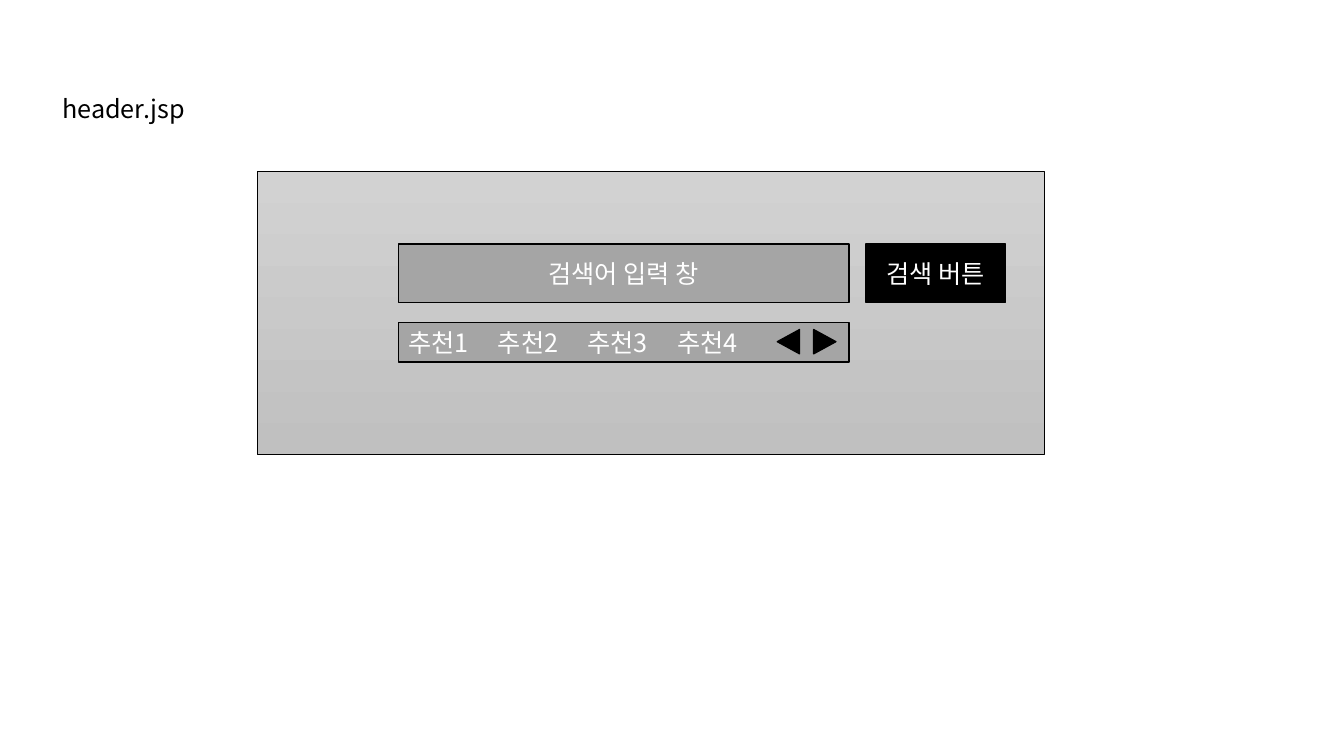
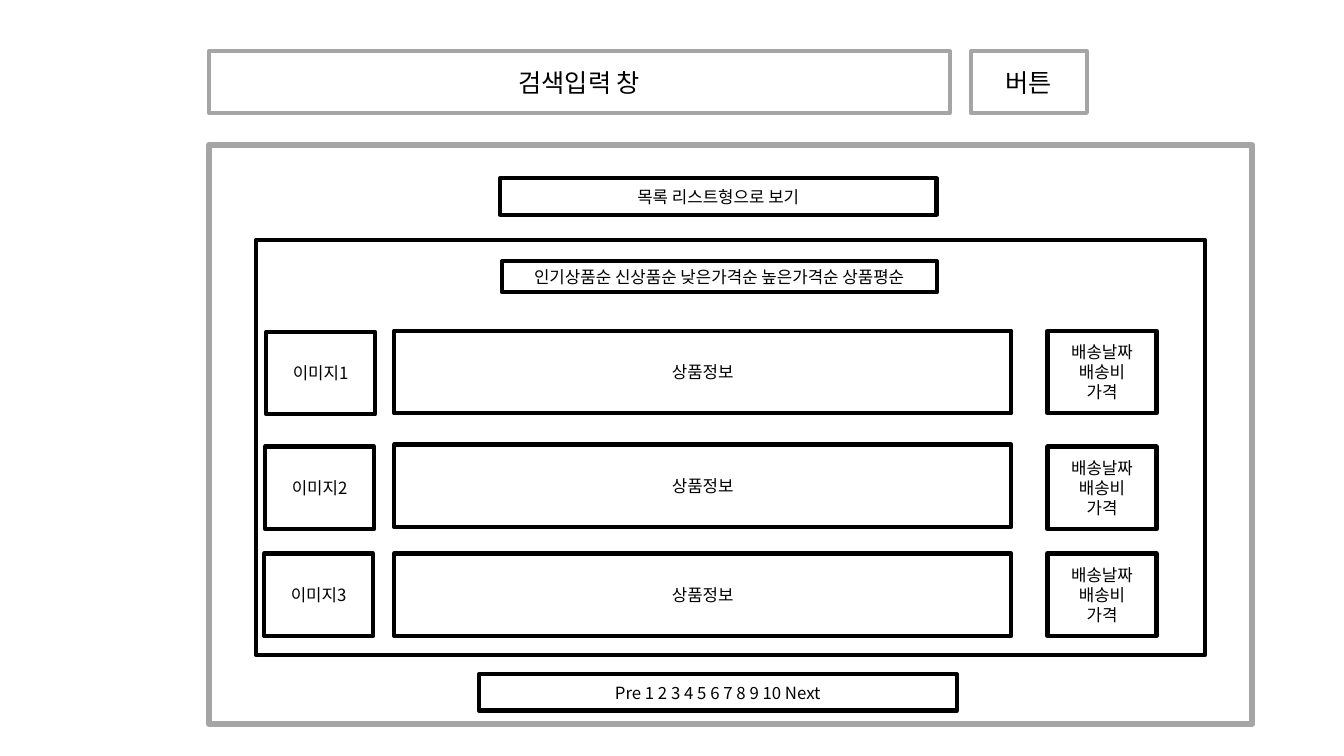
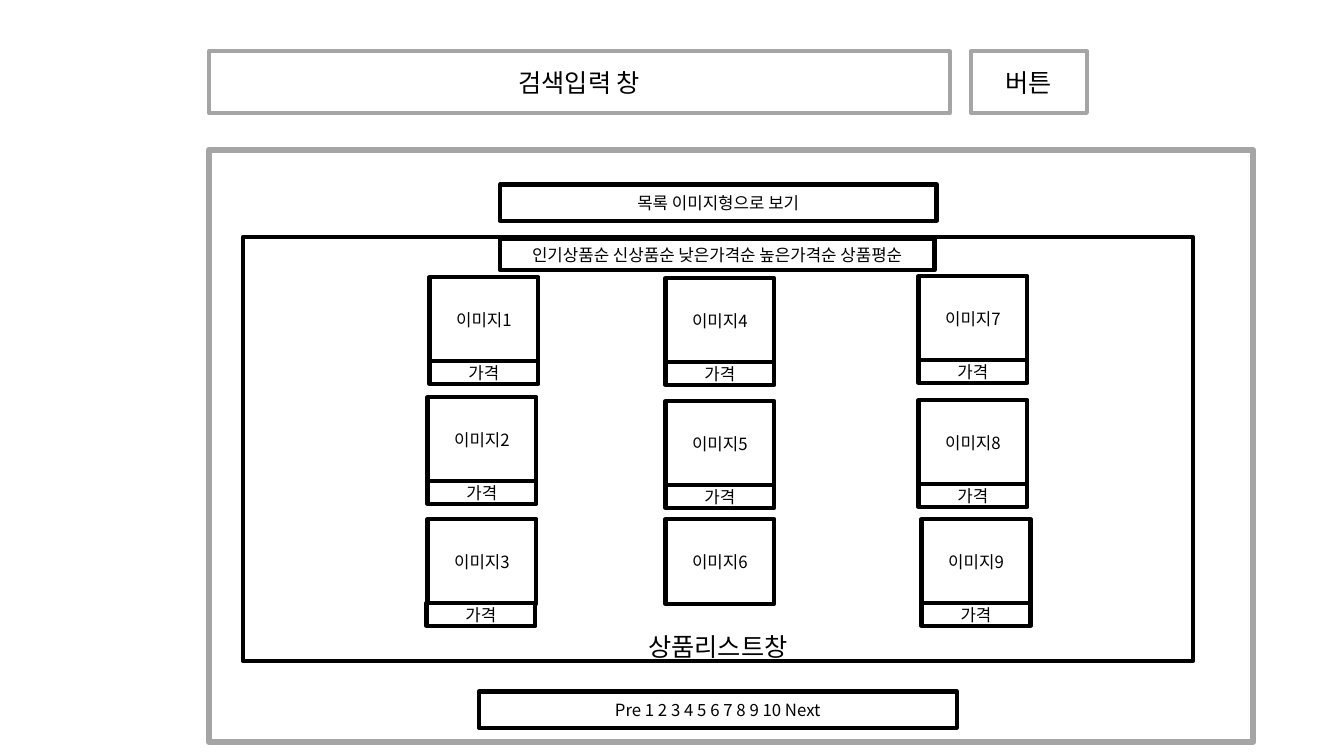
from typing import NamedTuple, Optional

from pptx import Presentation
from pptx import util as u
from pptx.dml.color import RGBColor
from pptx.enum import shapes, text
from pptx.oxml.ns import qn

PX = 9144
FONT = "Noto Sans CJK KR"
BLACK = RGBColor(0x00, 0x00, 0x00)
WHITE = RGBColor(0xFF, 0xFF, 0xFF)
GRAY = RGBColor(0xA5, 0xA5, 0xA5)
PANEL_TOP = RGBColor(0xD2, 0xD2, 0xD2)
PANEL_BOTTOM = RGBColor(0xC0, 0xC0, 0xC0)
RECT = shapes.MSO_SHAPE.RECTANGLE
ARROW = shapes.MSO_SHAPE.FLOWCHART_EXTRACT
LEFT, CENTER = text.PP_ALIGN.LEFT, text.PP_ALIGN.CENTER
SORT_ORDERS = "인기상품순 신상품순 낮은가격순 높은가격순 상품평순"
PAGES = "Pre 1 2 3 4 5 6 7 8 9 10 Next"
DELIVERY = "배송날짜\n배송비\n가격"
PRICE = "가격"
CARD_W = 108
PRICE_OFFSET = 83


class Area(NamedTuple):
    left: int
    top: int
    width: int
    height: int

    def emu(self) -> list[int]:
        return [length * PX for length in self]


class ProductRow(NamedTuple):
    image_left: int
    image_top: int
    info_top: int
    delivery_top: int


class Card(NamedTuple):
    left: int
    top: int
    price_left: Optional[int]


ROWS = (
    ProductRow(264, 329, 328, 328),
    ProductRow(263, 443, 441, 443),
    ProductRow(262, 549, 549, 549),
)
CARDS = (
    Card(426, 275, 426), Card(424, 394, 424), Card(424, 515, 423),
    Card(660, 276, 660), Card(660, 398, 660), Card(660, 515, None),
    Card(911, 274, 911), Card(911, 397, 911), Card(914, 515, 914),
)


def write(frame, content: str, *, size: int = 12, color: RGBColor = BLACK,
          align=CENTER, anchor=text.MSO_ANCHOR.MIDDLE, tab: int = 0) -> None:
    frame.word_wrap = True
    frame.vertical_anchor = anchor
    for index, line in enumerate(content.split("\n")):
        paragraph = frame.add_paragraph() if index else frame.paragraphs[0]
        paragraph.alignment = align
        run = paragraph.add_run()
        run.text = line
        run.font.size = u.Pt(size)
        run.font.color.rgb = color
        run.font.name = FONT
        east_asian = run.font._element.makeelement(qn("a:ea"), {"typeface": FONT})
        run.font._element.append(east_asian)
        if tab:
            properties = paragraph._p.get_or_add_pPr()
            stops = properties.makeelement(qn("a:tabLst"), {})
            properties.append(stops)
            for step in range(1, line.count("\t") + 1):
                position = {"pos": str(step * tab * PX), "algn": "l"}
                stops.append(stops.makeelement(qn("a:tab"), position))


def label(slide, area: Area, content: str, **style) -> None:
    write(slide.shapes.add_textbox(*area.emu()).text_frame, content, **style)


def box(slide, area: Area, content: str = "", *, fill: RGBColor = WHITE,
        line: RGBColor = BLACK, weight: float = 3, kind=RECT, **style):
    shape = slide.shapes.add_shape(kind, *area.emu())
    shape.shadow.inherit = False
    shape.fill.solid()
    shape.fill.fore_color.rgb = fill
    shape.line.color.rgb = line
    shape.line.width = u.Pt(weight)
    if content:
        write(shape.text_frame, content, **style)
    return shape


def search_bar(slide) -> None:
    box(slide, Area(207, 51, 735, 61), "검색입력 창", line=GRAY, size=18)
    box(slide, Area(963, 51, 115, 61), "버튼", line=GRAY, size=18)


def results_frame(slide, outer: Area, view: str, view_top: int,
                  products: Area, sorting: Area, pager_top: int) -> None:
    search_bar(slide)
    box(slide, outer, line=GRAY, weight=4.5)
    box(slide, Area(496, view_top, 433, 36), view)
    box(slide, products)
    box(slide, sorting, SORT_ORDERS)
    box(slide, Area(475, pager_top, 474, 36), PAGES)


def header_slide(slide) -> None:
    label(slide, Area(52, 88, 217, 40), "header.jsp", size=18, align=LEFT,
          anchor=text.MSO_ANCHOR.TOP)
    panel = box(slide, Area(255, 170, 781, 281), weight=0.5)
    panel.fill.gradient()
    panel.fill.gradient_angle = 270
    for stop, color in zip(panel.fill.gradient_stops, (PANEL_TOP, PANEL_BOTTOM)):
        stop.color.rgb = color
    box(slide, Area(395, 242, 447, 58), "검색어 입력 창",
        fill=GRAY, weight=1, size=18, color=WHITE)
    suggestions = "\t".join(f"추천{number}" for number in range(1, 5))
    box(slide, Area(395, 320, 447, 39), suggestions, fill=GRAY, weight=1,
        size=18, color=WHITE, align=LEFT, tab=89)
    box(slide, Area(859, 242, 138, 58), "검색 버튼",
        fill=BLACK, weight=1, size=18, color=WHITE)
    for left, rotation in ((770, 270), (806, 90)):
        arrow = box(slide, Area(left, 328, 24, 22), fill=BLACK, weight=1, kind=ARROW)
        arrow.rotation = rotation


def list_slide(slide) -> None:
    results_frame(slide, Area(207, 144, 1035, 574), "목록 리스트형으로 보기", 177,
                  Area(254, 238, 941, 412), Area(498, 259, 431, 31), 669)
    for number, row in enumerate(ROWS, 1):
        box(slide, Area(row.image_left, row.image_top, CARD_W, 82), f"이미지{number}")
        box(slide, Area(391, row.info_top, 612, 82), "상품정보")
        box(slide, Area(1039, row.delivery_top, CARD_W, 82), DELIVERY)


def gallery_slide(slide) -> None:
    results_frame(slide, Area(207, 149, 1036, 587), "목록 이미지형으로 보기", 183,
                  Area(241, 235, 942, 421), Area(496, 237, 431, 31), 686)
    for number, card in enumerate(CARDS, 1):
        box(slide, Area(card.left, card.top, CARD_W, 84), f"이미지{number}")
        if card.price_left is not None:
            box(slide, Area(card.price_left, card.top + PRICE_OFFSET, CARD_W, 23), PRICE)
    label(slide, Area(241, 618, 942, 46), "상품리스트창", size=18)


def main() -> None:
    deck = Presentation()
    deck.slide_width = 1333 * PX
    deck.slide_height = 750 * PX
    for draw in (header_slide, list_slide, gallery_slide):
        draw(deck.slides.add_slide(deck.slide_layouts[6]))
    deck.save("out.pptx")


if __name__ == "__main__":
    main()
